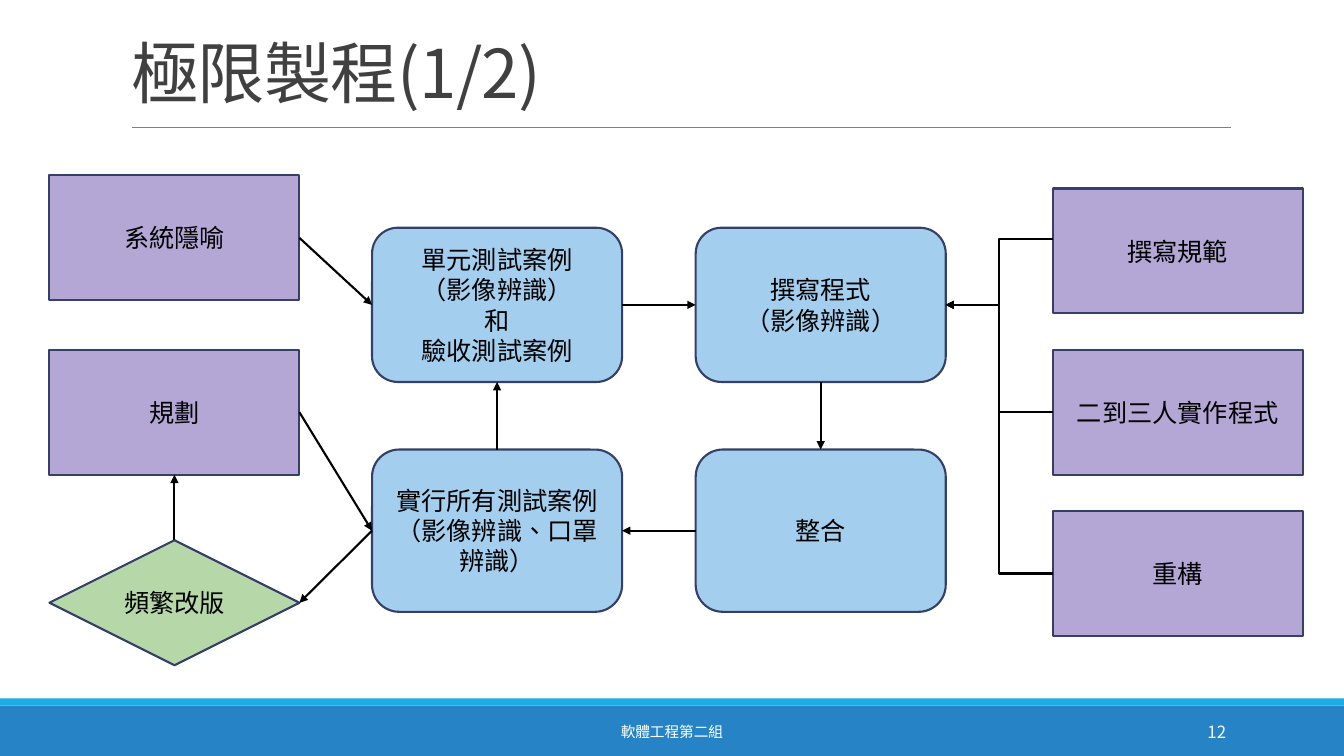
from dataclasses import dataclass
from typing import Optional

from lxml.etree import SubElement
from pptx import Presentation
from pptx.dml.color import RGBColor
from pptx.enum.shapes import MSO_CONNECTOR, MSO_SHAPE
from pptx.enum.text import MSO_ANCHOR, MSO_AUTO_SIZE, PP_ALIGN
from pptx.oxml.ns import qn
from pptx.util import Inches, Pt


@dataclass(frozen=True)
class Theme:
    font: str = "Noto Sans CJK SC"
    title: str = "404040"
    ink: str = "000000"
    white: str = "FFFFFF"
    rule: str = "808080"
    footer: str = "2683C6"
    footer_edge: str = "1CADE4"
    outline: str = "344068"
    activity: str = "A3CEED"
    practice: str = "B4A7D6"
    release: str = "B6D7A8"
    title_size: float = 48
    step_size: float = 18
    number_size: float = 12
    footer_size: float = 10.5
    line_width: float = 1.5
    rule_width: float = 0.5


THEME = Theme()
TOP, LEFT, BOTTOM, RIGHT = range(4)
STEP_WIDTH, PRACTICE_HEIGHT = 2.48, 1.24
PRACTICE_LEFT, TEST_LEFT, CODE_LEFT, RULES_LEFT = 0.49, 3.69, 6.9, 10.44
UPPER_TOP, LOWER_TOP = 2.26, 4.46
UPPER_HEIGHT, LOWER_HEIGHT = 1.53, 1.61
MIDDLE_TOP, RULES_GAP = 3.47, 1.6


@dataclass(frozen=True)
class Step:
    text: str
    left: float
    top: float
    height: float = PRACTICE_HEIGHT
    kind: MSO_SHAPE = MSO_SHAPE.RECTANGLE
    fill: str = THEME.practice


@dataclass(frozen=True)
class Flow:
    source: str
    source_side: int
    target: str
    target_side: int
    kind: MSO_CONNECTOR = MSO_CONNECTOR.STRAIGHT
    free_start: Optional[tuple[float, float]] = None


def activity(text: str, left: float, top: float, height: float) -> Step:
    return Step(text, left, top, height, MSO_SHAPE.ROUNDED_RECTANGLE, THEME.activity)


STEPS = {
    "cases": activity("單元測試案例\n（影像辨識）\n和\n驗收測試案例", TEST_LEFT, UPPER_TOP, UPPER_HEIGHT),
    "code": activity("撰寫程式\n（影像辨識）", CODE_LEFT, UPPER_TOP, UPPER_HEIGHT),
    "testing": activity("實行所有測試案例\n（影像辨識、口罩辨識）", TEST_LEFT, LOWER_TOP, LOWER_HEIGHT),
    "integration": activity("整合", CODE_LEFT, LOWER_TOP, LOWER_HEIGHT),
    "release": Step("頻繁改版", PRACTICE_LEFT, 5.36,
                    kind=MSO_SHAPE.FLOWCHART_DECISION, fill=THEME.release),
    "planning": Step("規劃", PRACTICE_LEFT, MIDDLE_TOP),
    "metaphor": Step("系統隱喻", PRACTICE_LEFT, 1.74),
    "pairing": Step("二到三人實作程式", RULES_LEFT, MIDDLE_TOP),
    "standards": Step("撰寫規範", RULES_LEFT, MIDDLE_TOP - RULES_GAP),
    "refactoring": Step("重構", RULES_LEFT, MIDDLE_TOP + RULES_GAP),
}

FLOWS = [
    Flow("metaphor", RIGHT, "cases", LEFT),
    Flow("cases", RIGHT, "code", LEFT),
    Flow("code", BOTTOM, "integration", TOP),
    Flow("integration", LEFT, "testing", RIGHT),
    Flow("testing", TOP, "cases", BOTTOM),
    Flow("testing", LEFT, "release", RIGHT),
    Flow("release", TOP, "planning", BOTTOM),
    Flow("planning", RIGHT, "testing", LEFT),
    Flow("standards", LEFT, "code", RIGHT, MSO_CONNECTOR.ELBOW, (RULES_LEFT, 2.37)),
    Flow("pairing", LEFT, "code", RIGHT, MSO_CONNECTOR.ELBOW),
    Flow("refactoring", LEFT, "code", RIGHT, MSO_CONNECTOR.ELBOW),
]


def write(shape, text: str, *, size: float, color: str, align=PP_ALIGN.CENTER,
          anchor=MSO_ANCHOR.MIDDLE, inset: Optional[float] = None,
          spacing: Optional[float] = None, tracking: Optional[int] = None) -> None:
    frame = shape.text_frame
    frame.word_wrap = True
    frame.auto_size = MSO_AUTO_SIZE.NONE
    frame.vertical_anchor = anchor
    if inset is not None:
        frame.margin_left = frame.margin_right = Inches(inset)
        frame.margin_top = frame.margin_bottom = Inches(inset)
    frame.text = text
    for paragraph in frame.paragraphs:
        paragraph.alignment = align
        paragraph.line_spacing = spacing
        for run in paragraph.runs:
            run.font.size = Pt(size)
            run.font.name = THEME.font
            run.font.color.rgb = RGBColor.from_string(color)
            properties = run._r.get_or_add_rPr()
            properties.set("lang", "zh-TW")
            SubElement(properties, qn("a:ea")).set("typeface", THEME.font)
            if tracking is not None:
                properties.set("spc", str(tracking))


def draw_shape(slide, kind: MSO_SHAPE, left: float, top: float, width: float,
               height: float, fill: str, outline: Optional[str] = None):
    shape = slide.shapes.add_shape(kind, Inches(left), Inches(top), Inches(width), Inches(height))
    shape.shadow.inherit = False
    shape.fill.solid()
    shape.fill.fore_color.rgb = RGBColor.from_string(fill)
    if outline:
        shape.line.color.rgb = RGBColor.from_string(outline)
        shape.line.width = Pt(THEME.line_width)
    else:
        shape.line.fill.background()
    return shape


def draw_step(slide, step: Step):
    shape = draw_shape(slide, step.kind, step.left, step.top, STEP_WIDTH, step.height,
                       step.fill, THEME.outline)
    write(shape, step.text, size=THEME.step_size, color=THEME.ink, inset=0.1)
    return shape


def draw_connector(slide, kind: MSO_CONNECTOR, start: tuple[float, float],
                   end: tuple[float, float], color: str, width: float):
    connector = slide.shapes.add_connector(kind, *map(Inches, start + end))
    connector.line.color.rgb = RGBColor.from_string(color)
    connector.line.width = Pt(width)
    SubElement(connector._element.spPr, qn("a:effectLst"))
    return connector


def side_point(step: Step, side: int) -> tuple[float, float]:
    across, down = {TOP: (0.5, 0), LEFT: (0, 0.5), BOTTOM: (0.5, 1), RIGHT: (1, 0.5)}[side]
    return step.left + across * STEP_WIDTH, step.top + down * step.height


def draw_flow(slide, flow: Flow, drawn: dict) -> None:
    start = flow.free_start or side_point(STEPS[flow.source], flow.source_side)
    end = side_point(STEPS[flow.target], flow.target_side)
    connector = draw_connector(slide, flow.kind, start, end, THEME.ink, THEME.line_width)
    SubElement(connector.line._get_or_add_ln(), qn("a:tailEnd")).set("type", "triangle")
    if flow.free_start is None:
        connector.begin_connect(drawn[flow.source], flow.source_side)
    connector.end_connect(drawn[flow.target], flow.target_side)


def draw_label(slide, text: str, left: float, width: float, size: float, align) -> None:
    label = slide.shapes.add_textbox(Inches(left), Inches(7.06), Inches(width), Inches(0.4))
    write(label, text, size=size, color=THEME.white, align=align)


def main() -> None:
    deck = Presentation()
    deck.slide_width, deck.slide_height = Inches(13.33), Inches(7.5)
    slide = deck.slides.add_slide(deck.slide_layouts[5])

    draw_shape(slide, MSO_SHAPE.RECTANGLE, 0, 7, 13.33, 0.5, THEME.footer)
    draw_shape(slide, MSO_SHAPE.RECTANGLE, 0, 6.93, 13.33, 0.07, THEME.footer_edge)
    draw_connector(slide, MSO_CONNECTOR.STRAIGHT, (1.31, 1.26), (12.21, 1.26),
                   THEME.rule, THEME.rule_width)

    title = slide.shapes.title
    title.left, title.top, title.width, title.height = map(Inches, (1.2, 0.17, 11, 0.99))
    write(title, "極限製程(1/2)", size=THEME.title_size, color=THEME.title,
          align=PP_ALIGN.LEFT, anchor=MSO_ANCHOR.BOTTOM, spacing=0.85, tracking=-50)

    drawn = {name: draw_step(slide, step) for name, step in STEPS.items()}
    for flow in FLOWS:
        draw_flow(slide, flow, drawn)

    draw_label(slide, "軟體工程第二組", 4.03, 5.27, THEME.footer_size, PP_ALIGN.CENTER)
    draw_label(slide, "12", 10.83, 1.43, THEME.number_size, PP_ALIGN.RIGHT)
    deck.save("out.pptx")


if __name__ == "__main__":
    main()
